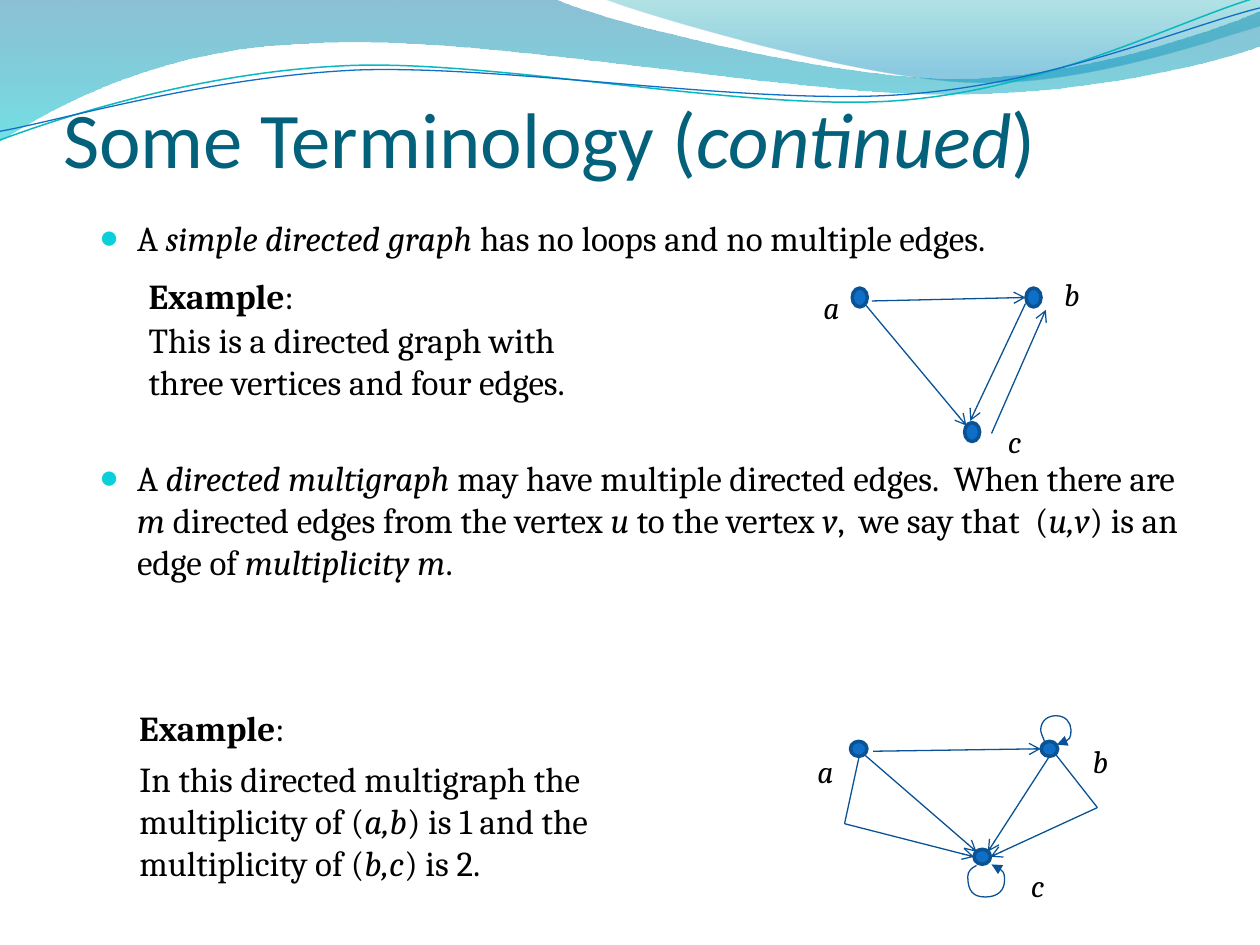
from lxml.etree import SubElement
from pptx import Presentation
from pptx.dml.color import RGBColor as RGB
from pptx.enum.shapes import MSO_CONNECTOR as CONN, MSO_SHAPE as SHAPE
from pptx.enum.text import MSO_ANCHOR as ANCHOR, MSO_AUTO_SIZE as AUTO, PP_ALIGN as ALIGN
from pptx.oxml.ns import qn
from pptx.util import Pt

C = {"title": "04617B", "text": "000000", "bullet": "0BD0D9", "node": "0F6FC6",
     "rim": "0B5292", "edge": "095295", "teal": "0AB8BF"}


def write(p, text, size=20, font="Cambria", color="text", mark="italic"):
    """Fill a paragraph; parts between asterisks get the marked style."""
    for i, part in enumerate(text.split("*")):
        if part:
            r = p.add_run()
            r.text = part
            r.font.size, r.font.name = Pt(size), font
            r.font.color.rgb = RGB.from_string(C[color])
            setattr(r.font, mark, i % 2 == 1)


def curve(start, pieces, close=False, color=None, width=0.75):
    """Draw an outline of lines (2 numbers) and cubic curves (6 numbers)."""
    points = [(Pt(x), Pt(y)) for piece in pieces for x, y in zip(piece[::2], piece[1::2])]
    builder = s.shapes.build_freeform(Pt(start[0]), Pt(start[1]))
    builder.add_line_segments(points, close=close)
    sp = builder.convert_to_shape()
    # Join the three points of each cubic piece into one curve
    steps = iter(sp.element.xpath(".//a:lnTo"))
    for piece in pieces:
        step = next(steps)
        if len(piece) == 6:
            step.addprevious(bez := step.makeelement(qn("a:cubicBezTo")))
            for part in (step, next(steps), next(steps)):
                bez.append(part[0])
                part.getparent().remove(part)
    sp.shadow.inherit = False
    sp.fill.background()
    if color:
        sp.line.color.rgb, sp.line.width = RGB.from_string(C[color]), Pt(width)
    else:
        sp.line.fill.background()
    return sp


prs = Presentation()
prs.slide_width, prs.slide_height = Pt(720), Pt(540)
s = prs.slides.add_slide(prs.slide_layouts[1])

# Gradient waves: start, pieces, (colour, position, opacity) stops
waves = [
    ((0, 0), [(317, -0.7), (343, 12, 478, 45, 546, 45), (614, 45, 690, 19, 720, 6.5),
              (721, 26), (708, 32, 626, 55, 537, 54), (448, 54, 275, 20, 185, 24.5),
              (93, 26, 33, 60, -0.7, 81)],
     [("0074A1", 0, 45), ("00C6CF", 1, 55)]),
    ((345, -0.7), [(366, 8, 491, 45, 554, 47), (616, 50, 692, 23, 720, 15), (720, 0)],
     [("00A1A9", 0, 30), ("008BBF", 0.8, 45)]),
]
for start, pieces, stops in waves:
    sp = curve(start, pieces, close=True)
    sp.fill.gradient()
    sp.fill.gradient_angle = 270
    for stop, (color, position, _) in zip(sp.fill.gradient_stops, stops):
        stop.color.rgb, stop.position = RGB.from_string(color), position
    for clr, (_, _, opacity) in zip(sp.element.xpath(".//a:gs/a:srgbClr"), stops):
        SubElement(clr, qn("a:alpha"), val=str(opacity * 1000))

# Thin wave lines
curve((0, 80), [(35, 67, 114, 41, 199, 37.5), (284, 34, 427, 64, 513, 57.5),
                (600, 51, 675, 11, 718.5, -1.5)], color="teal", width=0.85)
curve((0, 75), [(34, 69, 118, 44, 204, 40), (290, 37, 430, 60.5, 516, 54),
                (602, 48, 677.5, 15, 720, 4.5)], color="node")

# Title and bullets, in front of the waves
title, body = s.shapes.title, s.placeholders[1]
for sp, box in ((title, (36, 56, 648, 49.5)), (body, (49.5, 120, 648, 377))):
    sp.left, sp.top, sp.width, sp.height = map(Pt, box)
    sp.element.getparent().append(sp.element)
    sp.text_frame.auto_size = AUTO.NONE
tf = title.text_frame
tf.vertical_anchor = ANCHOR.BOTTOM
tf.margin_left = tf.margin_right = tf.margin_bottom = 0
tf.paragraphs[0].alignment = ALIGN.LEFT
write(tf.paragraphs[0], "Some Terminology (*continued*)", size=45, font="Calibri", color="title")

bullets = [
    ("A *simple directed graph *has no loops and no multiple edges.", 0),
    ("A *directed multigraph* may have multiple directed edges.  When there are *m* directed "
     "edges from the vertex *u* to the vertex *v*,  we say that  (*u,v*) is an edge of "
     "*multiplicity m*.", 113),
]
tf = body.text_frame
for i, (text, before) in enumerate(bullets):
    p = tf.add_paragraph() if i else tf.paragraphs[0]
    pPr = p._p.get_or_add_pPr()
    pPr.set("marL", str(Pt(21.6)))
    pPr.set("indent", str(-Pt(21.6)))
    p.space_before = Pt(before)
    SubElement(SubElement(pPr, qn("a:buClr")), qn("a:srgbClr"), val=C["bullet"])
    SubElement(pPr, qn("a:buSzPct"), val="95000")
    SubElement(pPr, qn("a:buChar"), char="●")
    write(p, text)

# Vertices: left, top, width, height
nodes = [(x, y, 8.6, 10.8) for x, y in ((487, 164.6), (551.2, 241.5), (586.3, 164.6))]
nodes += [(x, y, 9.4, 8.6) for x, y in ((486, 423.6), (556.6, 485.3), (595, 423.6))]
for box in nodes:
    sp = s.shapes.add_shape(SHAPE.OVAL, *map(Pt, box))
    sp.shadow.inherit = False
    sp.fill.solid()
    sp.fill.fore_color.rgb = RGB.from_string(C["node"])
    sp.line.color.rgb, sp.line.width = RGB.from_string(C["rim"]), Pt(2)

# Edges: x1, y1, x2, y2, arrow at the end
edges = [
    (498.2, 172, 586, 170, True), (494.6, 174.2, 552.2, 243.2, True),
    (586, 173.5, 554.4, 240.5, True), (566.6, 247.7, 597.6, 177.1, True),
    (499, 429.3, 594.7, 427.9, True), (494, 431.3, 558, 486.7, True),
    (599.8, 432, 564.5, 486.7, True),
    (491, 432, 482.6, 470.7, False), (482.6, 470.7, 556.6, 489.6, True),
    (603.4, 431.3, 627.1, 461.5, False), (627.1, 461.5, 566, 489.6, True),
]
lines = []
for *ends, arrow in edges:
    c = s.shapes.add_connector(CONN.STRAIGHT, *map(Pt, ends))
    c.line.color.rgb, c.line.width = RGB.from_string(C["edge"]), Pt(0.75)
    SubElement(c.element.spPr, qn("a:effectLst"))
    if arrow:
        lines.append((c, "arrow"))

# Loops at c and b
loops = [
    ((558, 494.6), [(555, 496, 553, 498, 553, 501), (553, 509, 556, 512.6, 563, 512.6),
                    (570, 512.6, 574, 509, 574, 503), (574, 498, 571, 495.5, 566.6, 494)]),
    ((597, 424), [(596, 421, 594.7, 419, 594.7, 417), (595, 411.5, 599, 409, 603.5, 409),
                  (609, 409, 612, 413, 612, 417), (612, 422.5, 608, 425.5, 604, 425.5)]),
]
lines += [(curve(start, pieces, color="edge"), "triangle") for start, pieces in loops]
for sp, head in lines:
    SubElement(sp.element.xpath(".//a:ln")[0], qn("a:tailEnd"), type=head)

# Vertex labels and example texts: text, box, format, right margin
label = {"size": 18}
heading = {"mark": "bold"}
texts = [
    ("*a*", (463.4, 161, 17.3, 18), label, 7.2),
    ("*b*", (601, 153.4, 17.3, 18), label, 7.2),
    ("*c*", (568.8, 237.6, 17.3, 18), label, 7.2),
    ("*a*", (460, 426.2, 19.4, 14.4), label, 7.2),
    ("*b*", (617.3, 420.5, 19.4, 14.4), label, 7.2),
    ("*c*", (582, 491.4, 19.4, 14.4), label, 7.2),
    ("*Example*:", (77.8, 153.4, 138, 31.7), heading, 7.2),
    ("This is a directed graph with three vertices and four edges.",
     (77.8, 178.6, 282, 55.4), {}, 7.2),
    ("*Example*:", (72.5, 400.3, 108, 31.7), heading, 7.2),
    ("In this directed multigraph the multiplicity of (*a,b*) is 1 and the "
     "multiplicity of (*b,c*) is 2.", (72.5, 429.5, 361.4, 80), {}, 43),
]
for text, box, style, right in texts:
    tf = s.shapes.add_textbox(*map(Pt, box)).text_frame
    tf.word_wrap, tf.auto_size = True, AUTO.SHAPE_TO_FIT_TEXT
    tf.margin_right = Pt(right)
    write(tf.paragraphs[0], text, **style)

prs.save("out.pptx")
